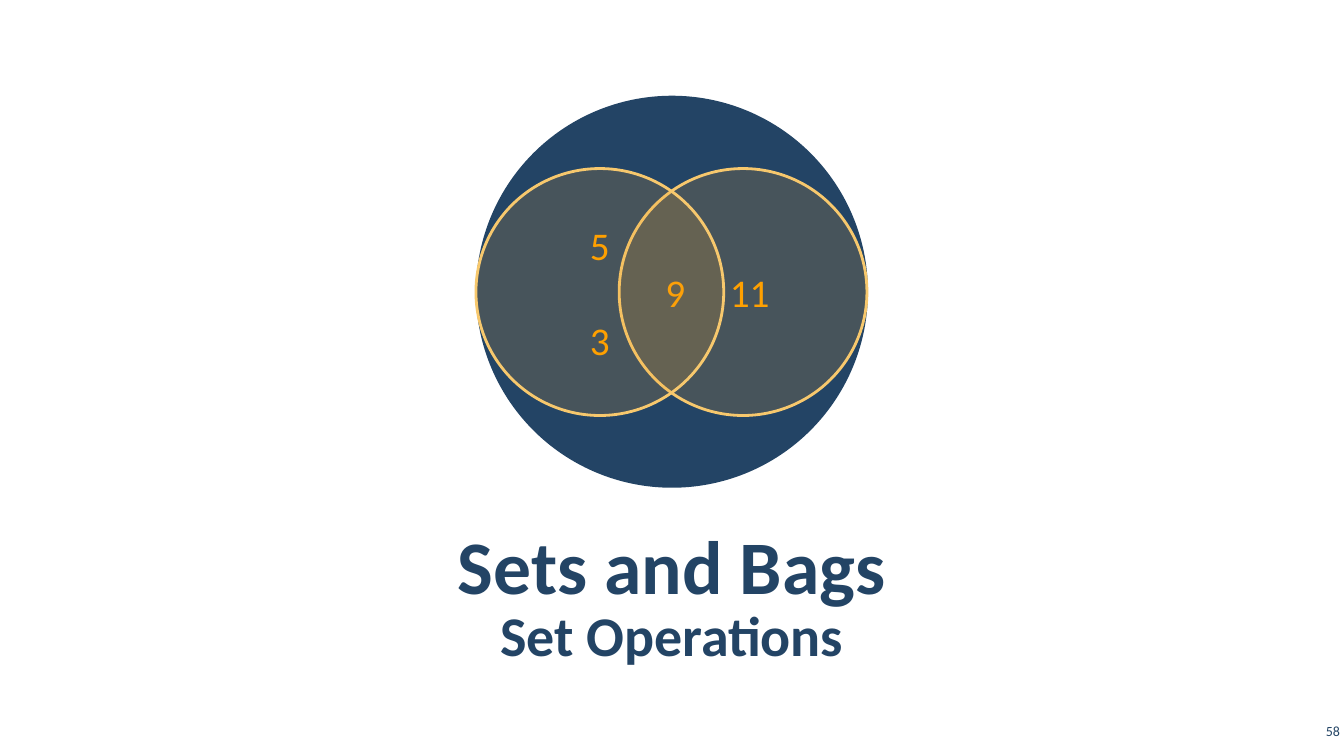
from lxml.etree import SubElement
from pptx import Presentation
from pptx.dml.color import RGBColor
from pptx.enum.shapes import MSO_SHAPE
from pptx.enum.text import MSO_ANCHOR, PP_ALIGN
from pptx.oxml.ns import qn
from pptx.util import Pt

COLORS = {"navy": "234465", "amber": "F0A22E", "outline": "F7C86D", "number": "FFA000"}


class SlideBuilder:
    font_name = "Calibri"

    def __init__(self, slide):
        self.slide = slide

    def color(self, name):
        return RGBColor.from_string(COLORS[name])

    def circle(self, left, top, width, height, fill, outline=None, opacity=None):
        shape = self.slide.shapes.add_shape(
            MSO_SHAPE.OVAL, Pt(left), Pt(top), Pt(width), Pt(height))
        shape.shadow.inherit = False
        shape.fill.solid()
        shape.fill.fore_color.rgb = self.color(fill)
        if opacity is not None:
            fill_color = shape._element.spPr.find(qn("a:solidFill"))[0]
            SubElement(fill_color, qn("a:alpha"), val=str(opacity * 1000))
        if outline:
            shape.line.color.rgb = self.color(outline)
            shape.line.width = Pt(2)
        else:
            shape.line.fill.background()
        return shape

    def text_box(self, left, top, width, height):
        return self.slide.shapes.add_textbox(Pt(left), Pt(top), Pt(width), Pt(height))

    def set_text(self, shape, text, size, color, align, bold=False, margins=(7.2, 3.6),
                 line_spacing=None, gap=0, tab=None):
        frame = shape.text_frame
        frame.word_wrap = True
        frame.vertical_anchor = MSO_ANCHOR.MIDDLE
        frame.margin_left = frame.margin_right = Pt(margins[0])
        frame.margin_top = frame.margin_bottom = Pt(margins[1])
        frame.text = text
        for index, paragraph in enumerate(frame.paragraphs):
            paragraph.alignment = align
            if line_spacing:
                paragraph.line_spacing = line_spacing
            if index and gap:
                paragraph.space_before = Pt(gap)
            if tab:
                tabs = SubElement(paragraph._p.get_or_add_pPr(), qn("a:tabLst"))
                SubElement(tabs, qn("a:tab"), pos=str(Pt(tab)), algn="l")
            for run in paragraph.runs:
                run.font.name = self.font_name
                run.font.size = Pt(size)
                run.font.bold = bold
                run.font.color.rgb = self.color(color)


def main():
    presentation = Presentation()
    presentation.slide_width, presentation.slide_height = Pt(960), Pt(540)
    slide = presentation.slides.add_slide(presentation.slide_layouts[6])
    builder = SlideBuilder(slide)

    # Backdrop
    builder.circle(340, 68.4, 280, 280, "navy")

    # Title and subtitle
    for text, top, height, size in (("Sets and Bags", 371, 60.5, 54),
                                    ("Set Operations", 432, 39.6, 40)):
        builder.set_text(builder.text_box(48.2, top, 863.3, height), text, size, "navy",
                         PP_ALIGN.CENTER, bold=True, margins=(8.6, 2.9), line_spacing=1.05)

    # Slide number
    builder.set_text(builder.text_box(926, 514, 34, 16), "58", 10, "navy",
                     PP_ALIGN.RIGHT, margins=(2.9, 2.9))

    # Venn diagram, right set first
    for left, text, align, gap, tab in ((442.3, "9\t11", PP_ALIGN.LEFT, 0, 46),
                                        (340, "5\n3", PP_ALIGN.CENTER, 34, None)):
        venn_set = builder.circle(left, 120.4, 177, 176.4, "amber", "outline", opacity=18)
        builder.set_text(venn_set, text, 28, "number", align, gap=gap, tab=tab)

    presentation.save("out.pptx")


if __name__ == "__main__":
    main()
